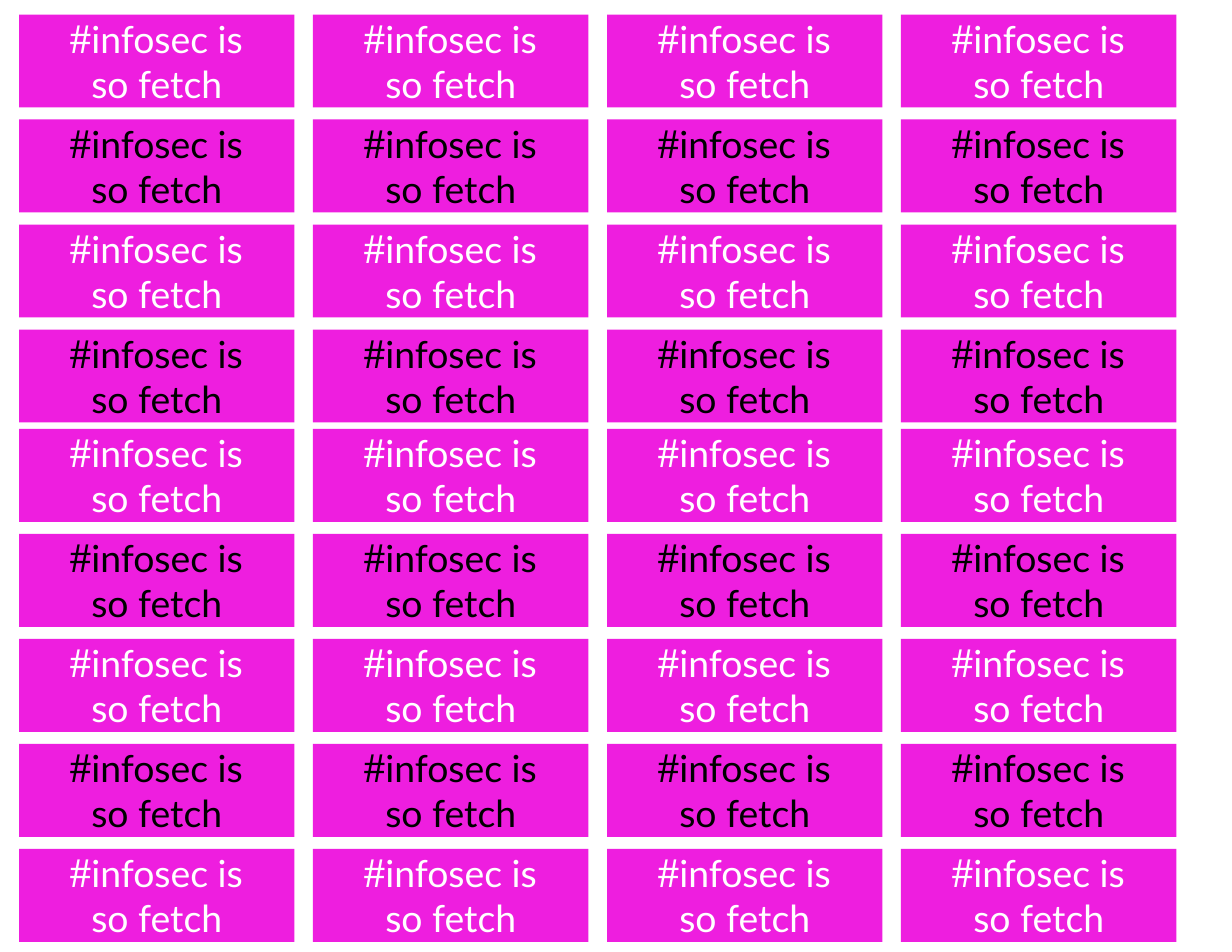
from pptx import Presentation
from pptx.dml.color import RGBColor as RGB
from pptx.enum.shapes import MSO_SHAPE as Shape
from pptx.enum.text import MSO_ANCHOR as Anchor, PP_ALIGN as Align
from pptx.util import Inches, Pt

COLORS = {"pink": "EE1EDF", "white": "FFFFFF", "black": "000000"}
HASH_FONT, WORD_FONT = "TeX Gyre Adventor", "Lato"
SLOGAN = [
    [("#", HASH_FONT), ("infosec is", WORD_FONT)],
    [("so fetch", WORD_FONT)],
]

# Label grid in inches: an upper block of four rows and a lower one of five
COLUMNS = 4
LEFT, COLUMN_PITCH = 0.17, 21 / 8
ROW_PITCH = 15 / 16
LABEL_WIDTH, LABEL_HEIGHT = 2.46, 0.83
BLOCKS = [(0.13, 4), (3.83, 5)]

prs = Presentation()
prs.slide_width, prs.slide_height = Inches(11), Inches(8.5)
slide = prs.slides.add_slide(prs.slide_layouts[6])

row_tops = [top + ROW_PITCH * row for top, rows in BLOCKS for row in range(rows)]

for column in range(COLUMNS):
    for row, top in enumerate(row_tops):
        label = slide.shapes.add_shape(
            Shape.RECTANGLE,
            Inches(LEFT + COLUMN_PITCH * column), Inches(top),
            Inches(LABEL_WIDTH), Inches(LABEL_HEIGHT),
        )
        label.shadow.inherit = False
        label.fill.solid()
        label.fill.fore_color.rgb = RGB.from_string(COLORS["pink"])
        label.line.fill.background()

        frame = label.text_frame
        frame.word_wrap = True
        frame.vertical_anchor = Anchor.MIDDLE
        frame.text = "\n" * (len(SLOGAN) - 1)
        ink = COLORS["black" if row % 2 else "white"]
        for paragraph, pieces in zip(frame.paragraphs, SLOGAN):
            paragraph.alignment = Align.CENTER
            for words, typeface in pieces:
                run = paragraph.add_run()
                run.text = words
                run.font.name = typeface
                run.font.size = Pt(24)
                run.font.color.rgb = RGB.from_string(ink)

prs.save("out.pptx")
